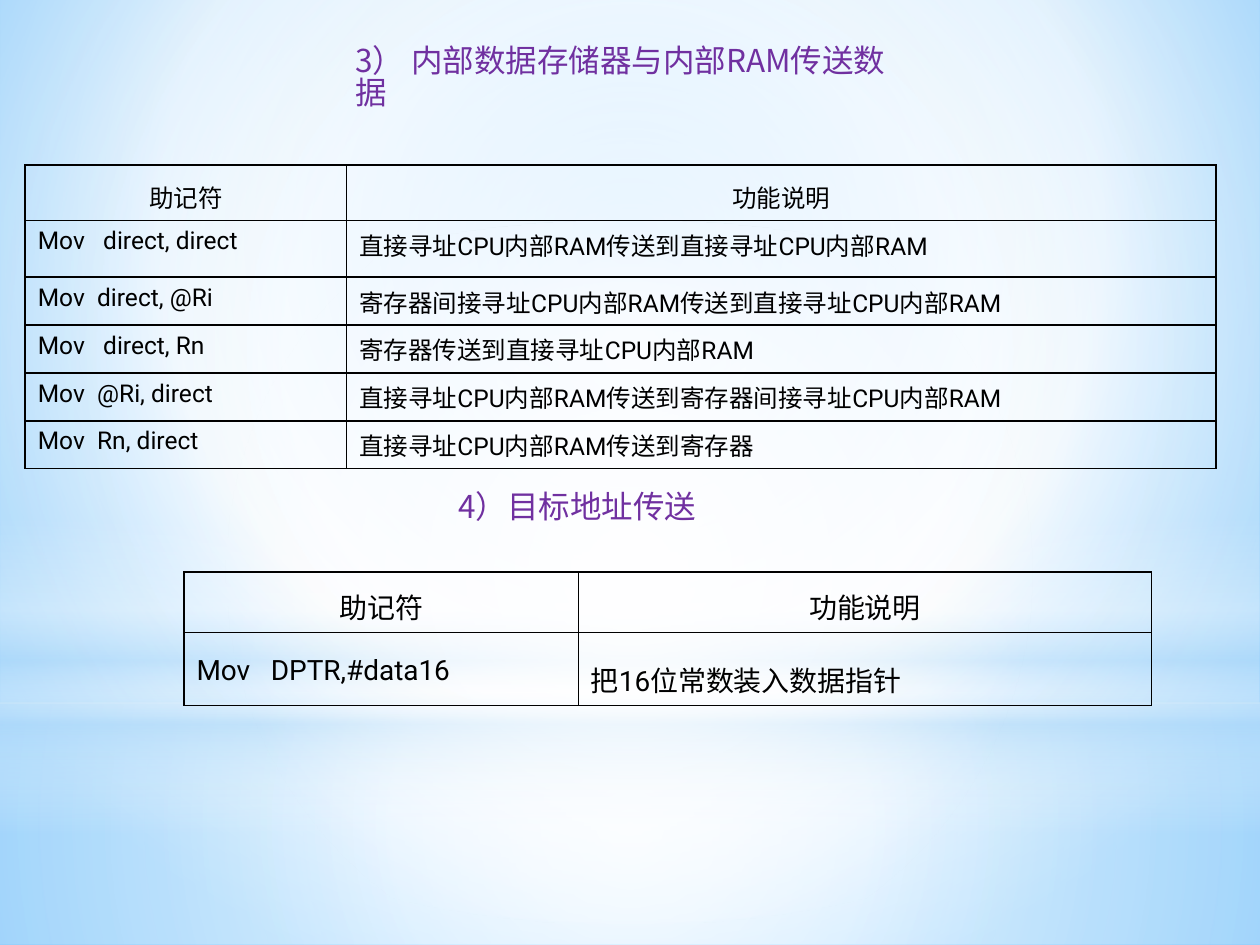
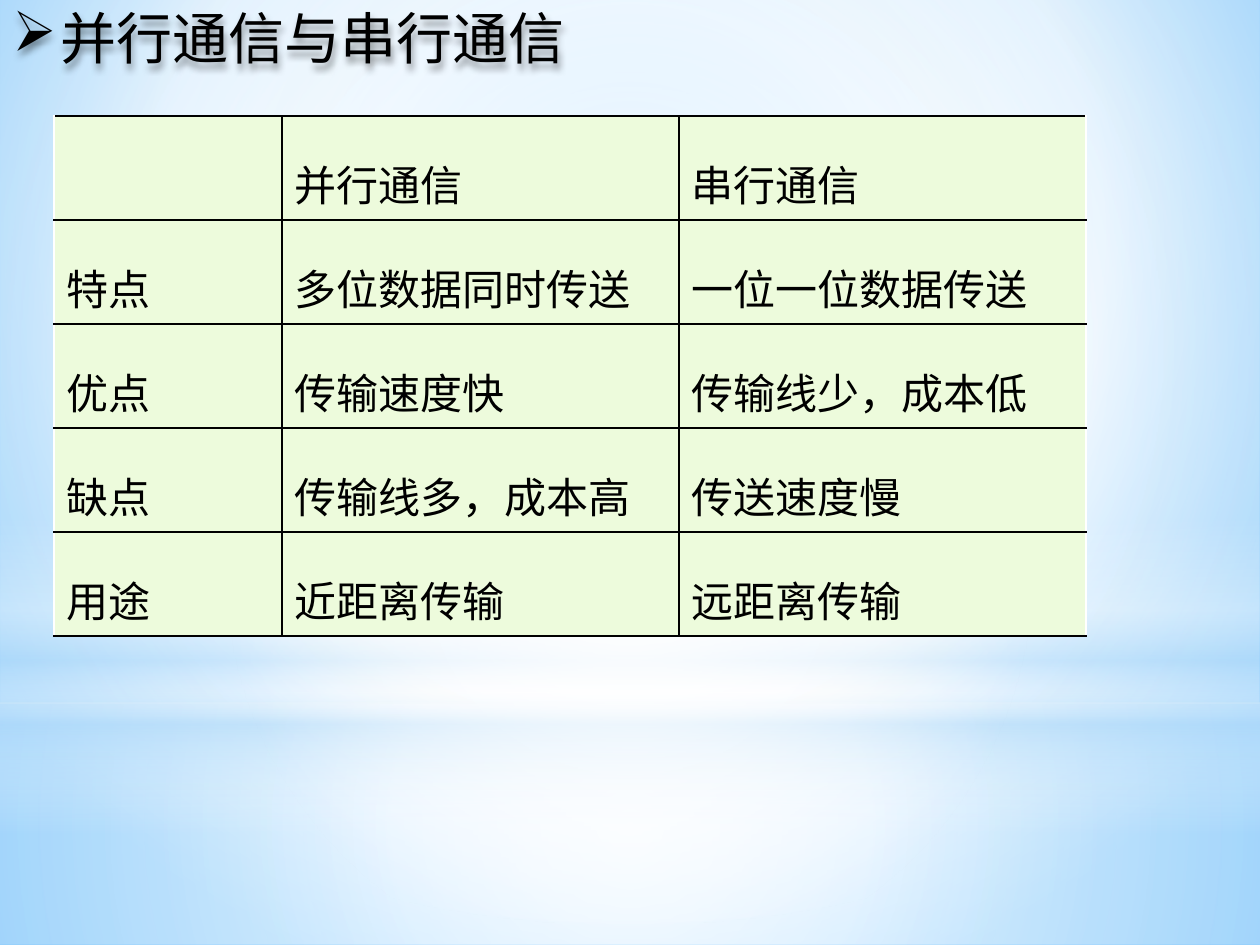
from lxml import etree
from pptx import Presentation
from pptx.dml.color import RGBColor
from pptx.enum.shapes import MSO_SHAPE
from pptx.enum.text import MSO_ANCHOR, PP_ALIGN
from pptx.oxml.ns import qn
from pptx.util import Inches, Pt

RECT, OVAL = MSO_SHAPE.RECTANGLE, MSO_SHAPE.OVAL
LEFT, CENTER, TOP = PP_ALIGN.LEFT, PP_ALIGN.CENTER, MSO_ANCHOR.TOP
CJK, LATIN = "Noto Sans CJK SC", "Roboto"
COLORS = {"ink": "000000", "head": "7030A0", "white": "FFFFFF", "mist": "B4DCFA",
          "sky": "9ED5FF", "deep": "5BB9FF", "cell": "EDFBDC"}
MID = (50, 50, 50, 50)

# Master bands: shape, box, stops (position, colour, opacity), centre or None for a vertical fade
BANDS = [
    (RECT, (0, 5.58, 10, 1.92),
     [(0, "white", 91), (37, "white", 76), (100, "mist", 79)], MID),
    (RECT, (0, 0, 10, 5.58),
     [(0, "white", 89), (48, "white", 62), (100, "mist", 79)], MID),
    (RECT, (0, 4.12, 10, 2.5),
     [(0, "white", 0), (29, "white", 30), (45, "mist", 40),
      (55, "white", 26), (65, "mist", 60), (100, "white", 0)], None),
    (OVAL, (0, 1.75, 10, 5.58), [(0, "white", 100), (56, "white", 0)], MID),
]

MOVES = [
    ("助记符", "功能说明"),
    ("Mov   direct, direct", "直接寻址CPU内部RAM传送到直接寻址CPU内部RAM"),
    ("Mov  direct, @Ri", "寄存器间接寻址CPU内部RAM传送到直接寻址CPU内部RAM"),
    ("Mov   direct, Rn", "寄存器传送到直接寻址CPU内部RAM"),
    ("Mov  @Ri, direct", "直接寻址CPU内部RAM传送到寄存器间接寻址CPU内部RAM"),
    ("Mov  Rn, direct", "直接寻址CPU内部RAM传送到寄存器"),
]
TARGET = [MOVES[0], ("Mov   DPTR,#data16", "把16位常数装入数据指针")]
MODES = [
    ("", "并行通信", "串行通信"),
    ("特点", "多位数据同时传送", "一位一位数据传送"),
    ("优点", "传输速度快", "传输线少，成本低"),
    ("缺点", "传输线多，成本高", "传送速度慢"),
    ("用途", "近距离传输", "远距离传输"),
]


def rgb(name):
    return RGBColor.from_string(COLORS[name])


def node(parent, tag, **attrs):
    return etree.SubElement(parent, qn(tag), {k: str(v) for k, v in attrs.items()})


def fade(holder, stops, center):
    """Swap the solid fill in holder for a gradient."""
    solid = holder.find(qn("a:solidFill"))
    grad = etree.Element(qn("a:gradFill"), rotWithShape="1")
    points = node(grad, "a:gsLst")
    for pos, name, alpha in stops:
        stop = node(points, "a:gs", pos=pos * 1000)
        color = node(stop, "a:srgbClr", val=COLORS[name])
        if alpha < 100:
            node(color, "a:alpha", val=alpha * 1000)
    if center:
        track = node(grad, "a:path", path="circle")
        node(track, "a:fillToRect", **{k: v * 1000 for k, v in zip("ltrb", center)})
    else:
        node(grad, "a:lin", ang=5400000, scaled=0)
    holder.replace(solid, grad)


def backdrop(master, slide):
    """Set the master background and move the bands under its placeholders."""
    fill = master.background.fill
    fill.solid()
    fill.fore_color.rgb = rgb("white")
    fade(master.element.find(".//" + qn("p:bgPr")),
         [(0, "sky", 100), (60, "white", 100), (100, "deep", 100)], (20, 10, 20, 60))
    for i, (kind, box, stops, center) in enumerate(BANDS):
        band = slide.shapes.add_shape(kind, *map(Inches, box))
        band.shadow.inherit = False
        band.line.fill.background()
        band.fill.solid()
        band.fill.fore_color.rgb = rgb("white")
        fade(band.element.spPr, stops, center)
        master.shapes.element.insert(2 + i, band.element)


def style(para, size, font=LATIN, color="ink", align=LEFT, space=None):
    para.alignment = align
    if space:
        para.line_spacing = space
    for run in para.runs:
        run.font.size = Pt(size)
        run.font.name = font
        run.font.color.rgb = rgb(color)
        node(run.font._element, "a:ea", typeface=CJK)


def place(shape, box):
    shape.left, shape.top, shape.width, shape.height = map(Inches, box)
    shape.text_frame.vertical_anchor = TOP
    shape.text_frame.word_wrap = True


def heading(shape, box, text):
    place(shape, box)
    shape.text_frame.text = text
    style(shape.text_frame.paragraphs[0], 18, CJK, "head", space=0.83)


def banner(shape, box, text):
    """Bulleted title with a soft shadow."""
    place(shape, box)
    shape.text_frame.word_wrap = False
    shape.text_frame.text = text
    para = shape.text_frame.paragraphs[0]
    props = para._p.get_or_add_pPr()
    props.set("marL", str(Inches(0.38)))
    props.set("indent", str(-Inches(0.38)))
    node(props, "a:buChar", char="➢")
    style(para, 32, space=0.9)
    effects = node(shape.element.spPr, "a:effectLst")
    cast = node(effects, "a:outerShdw", blurRad=Pt(4), dist=Pt(3), dir=5400000,
                algn="t", rotWithShape=0)
    node(node(cast, "a:srgbClr", val=COLORS["ink"]), "a:alpha", val=40000)


def edge(cell, sides):
    """Draw the four cell borders, in the order left, right, top, bottom."""
    props = cell._tc.get_or_add_tcPr()
    for i, (side, name) in enumerate(zip("LRTB", sides)):
        line = etree.Element(qn("a:ln" + side), w=str(Pt(1)))
        node(node(line, "a:solidFill"), "a:srgbClr", val=COLORS[name])
        props.insert(i, line)


def grid(slide, at, cols, rows, data, size, head=None, body=None,
         align=LEFT, fill=None, rim="ink"):
    """Table at a corner; head and body are line spacings, rim the outer side colour."""
    box = (*at, sum(cols), sum(rows))
    table = slide.shapes.add_table(len(rows), len(cols), *map(Inches, box)).table
    table.first_row = table.horz_banding = False
    for col, width in zip(table.columns, cols):
        col.width = Inches(width)
    for r, texts in enumerate(data):
        table.rows[r].height = Inches(rows[r])
        for c, text in enumerate(texts):
            cell = table.cell(r, c)
            cell.text = text
            style(cell.text_frame.paragraphs[0], size,
                  align=LEFT if r else align, space=body if r else head)
            if fill:
                cell.fill.solid()
                cell.fill.fore_color.rgb = rgb(fill)
            else:
                cell.fill.background()
            edge(cell, (rim if c == 0 else "ink",
                        rim if c == len(cols) - 1 else "ink", "ink", "ink"))


def moves(slide):
    """Data transfer instructions."""
    heading(slide.shapes.title, (2.72, 0.33, 4.65, 0.55),
            "3） 内部数据存储器与内部RAM传送数据")
    note = slide.shapes.add_textbox(0, 0, 0, 0)
    heading(note, (3.54, 3.87, 2.17, 0.55), "4）目标地址传送")
    grid(slide, (0.2, 1.31), (2.55, 6.9), [0.44, 0.45] + [0.38] * 4, MOVES, 14,
         head=1.2, align=CENTER)
    grid(slide, (1.46, 4.54), (3.13, 4.55), (0.48, 0.58), TARGET, 16,
         head=1.2, body=1.5, align=CENTER)


def modes(slide):
    """Parallel and serial communication compared."""
    grid(slide, (0.43, 0.92), (1.81, 3.15, 3.23), [0.82] * 5, MODES, 24,
         head=1.5, body=1.5, fill="cell", rim="white")
    banner(slide.shapes.title, (0, 0.04, 4.62, 0.64), "并行通信与串行通信")


def main():
    deck = Presentation()
    deck.slide_width, deck.slide_height = Inches(10), Inches(7.5)
    pages = [deck.slides.add_slide(deck.slide_layouts[5]) for _ in range(2)]
    backdrop(deck.slide_master, pages[0])
    moves(pages[0])
    modes(pages[1])
    deck.save("out.pptx")


if __name__ == "__main__":
    main()
